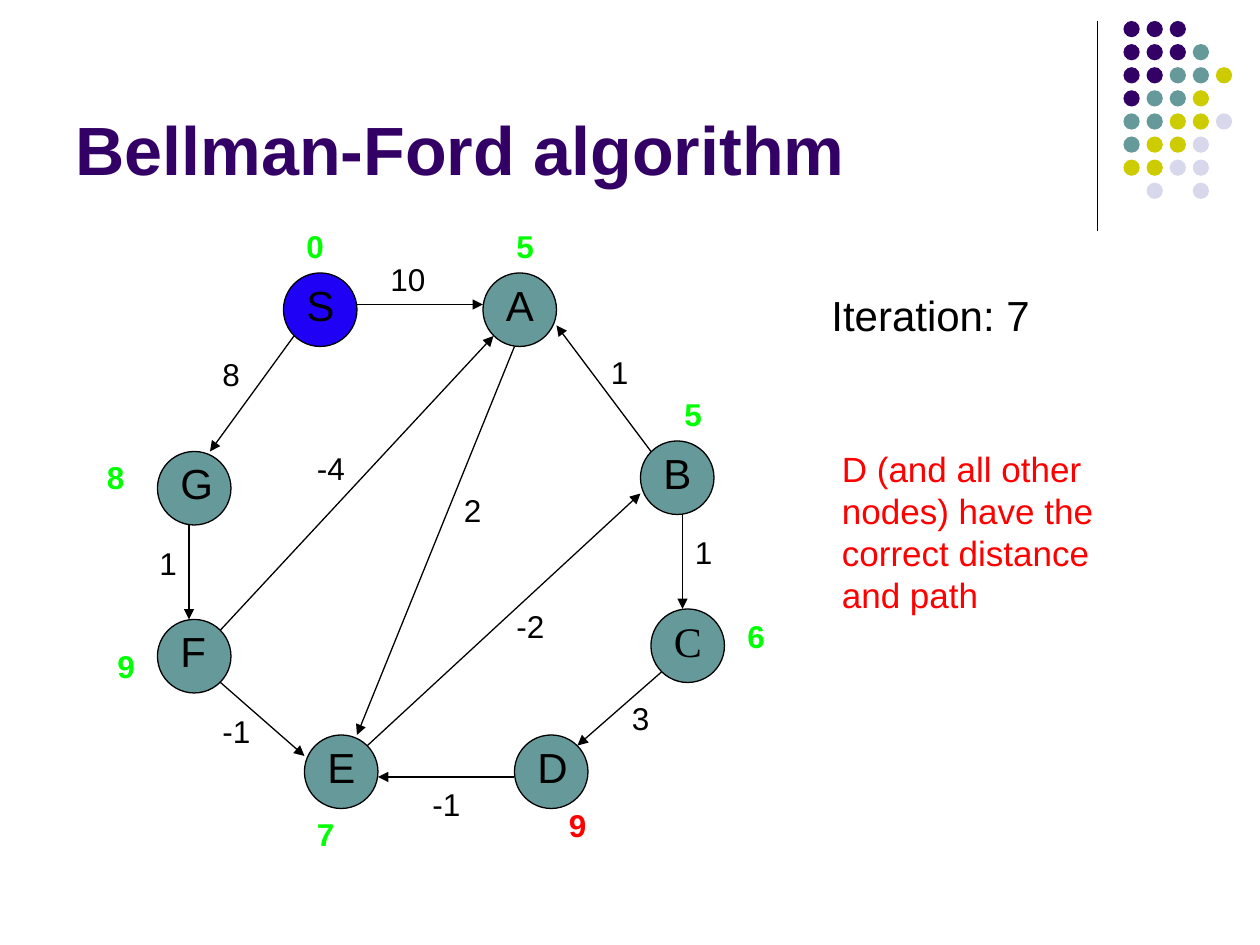
from typing import NamedTuple

from lxml import etree
from pptx import Presentation
from pptx.dml.color import RGBColor
from pptx.enum.shapes import MSO_CONNECTOR, MSO_SHAPE
from pptx.enum.text import MSO_ANCHOR
from pptx.oxml.ns import qn
from pptx.util import Pt

ELLIPSE = MSO_SHAPE.OVAL
STRAIGHT = MSO_CONNECTOR.STRAIGHT
TOP = MSO_ANCHOR.TOP
BOTTOM = MSO_ANCHOR.BOTTOM

BLACK = RGBColor(0x00, 0x00, 0x00)
PURPLE = RGBColor(0x33, 0x00, 0x66)
TEAL = RGBColor(0x66, 0x99, 0x99)
OLIVE = RGBColor(0xCC, 0xCC, 0x00)
LAVENDER = RGBColor(0xD8, 0xD8, 0xEC)
BLUE = RGBColor(0x1F, 0x02, 0xF6)
GREEN = RGBColor(0x00, 0xFF, 0x00)
RED = RGBColor(0xFF, 0x00, 0x00)

LINE_WIDTH = 0.74
NODE_SIZE = 42
DOT_SIZE = 9.3
DOT_PITCH = 13.2
DOT_LEFT, DOT_TOP = 642, 12
DOT_ROWS = ("PPP", "PPPT", "PPTTO", "PTTO", "TTOOL", "TOOL", "OOLL", " L L")
DOT_COLORS = {"P": PURPLE, "T": TEAL, "O": OLIVE, "L": LAVENDER}


class Node(NamedTuple):
    """A graph vertex, placed by the top left corner of its circle."""
    name: str
    left: float
    top: float
    fill: RGBColor = TEAL
    font: str = "Arial"


class Edge(NamedTuple):
    """An arrow from one point to another."""
    x1: float
    y1: float
    x2: float
    y2: float


class Label(NamedTuple):
    """A piece of text in its frame."""
    text: str
    left: float
    top: float
    color: RGBColor = BLACK
    bold: bool = False
    size: float = 18
    width: float = 36
    height: float = 29
    font: str = "Arial"
    anchor: MSO_ANCHOR = TOP


NODES = (
    Node("G", 90, 258), Node("S", 162, 156, BLUE),
    Node("F", 90, 354), Node("E", 174, 420),
    Node("A", 276, 156), Node("D", 294, 420),
    Node("B", 366, 252), Node("C", 372, 348, font="Times New Roman"),
)
EDGES = (
    Edge(204, 174, 276, 174),
    Edge(372, 258, 318, 186),
    Edge(390, 294, 390, 348),
    Edge(378, 384, 330, 426),
    Edge(294, 444, 216, 444),
    Edge(126, 390, 174, 432),
    Edge(108, 300, 108, 354),
    Edge(168, 192, 120, 258),
    Edge(126, 360, 282, 192),
    Edge(294, 198, 204, 420),
    Edge(210, 426, 366, 282),
)
WEIGHTS = (
    Label("10", 216, 145.2), Label("8", 120, 199.2), Label("1", 84, 307.2),
    Label("-1", 120, 403.2), Label("-1", 240, 445.2), Label("3", 354, 396),
    Label("1", 390, 301.2), Label("1", 342, 198), Label("2", 258, 277.2),
    Label("-2", 288, 343.2), Label("-4", 174, 253.2),
)
DISTANCES = (
    Label("0", 168, 126, GREEN, True), Label("5", 288, 126, GREEN, True),
    Label("5", 384, 222, GREEN, True), Label("6", 420, 349.2, GREEN, True),
    Label("9", 318, 457.2, RED, True), Label("7", 174, 462, GREEN, True),
    Label("9", 60, 366, GREEN, True), Label("8", 54, 258, GREEN, True),
)
TITLE = Label("Bellman-Ford algorithm", 36, 9.4, PURPLE, True, 39, 594, 102.2,
              anchor=BOTTOM)
REMARKS = (
    Label("Iteration: 7", 468, 162, size=24, width=168, height=36),
    Label("D (and all other nodes) have the correct distance and path",
          474, 252, RED, size=20, width=174, height=104),
)


def add_label(shapes, label: Label) -> None:
    """Add a wrapping text box with one run."""
    box = shapes.add_textbox(Pt(label.left), Pt(label.top),
                             Pt(label.width), Pt(label.height))
    frame = box.text_frame
    frame.word_wrap = True
    frame.vertical_anchor = label.anchor
    span = frame.paragraphs[0].add_run()
    span.text = label.text
    span.font.name = label.font
    span.font.size = Pt(label.size)
    span.font.bold = label.bold
    span.font.color.rgb = label.color


def add_circle(shapes, left: float, top: float, size: float,
               fill: RGBColor, outlined: bool) -> None:
    """Add a filled circle, with or without a black outline."""
    circle = shapes.add_shape(ELLIPSE, Pt(left), Pt(top), Pt(size), Pt(size))
    circle.shadow.inherit = False
    circle.fill.solid()
    circle.fill.fore_color.rgb = fill
    if outlined:
        circle.line.color.rgb = BLACK
        circle.line.width = Pt(LINE_WIDTH)
    else:
        circle.line.fill.background()


def add_line(shapes, edge: Edge, arrow: bool) -> None:
    """Add a thin black line, optionally with an arrowhead at its end."""
    line = shapes.add_connector(STRAIGHT, Pt(edge.x1), Pt(edge.y1),
                                Pt(edge.x2), Pt(edge.y2))
    line.line.color.rgb = BLACK
    line.line.width = Pt(LINE_WIDTH)
    if arrow:
        etree.SubElement(line.line._get_or_add_ln(), qn("a:tailEnd"),
                         type="triangle")
    etree.SubElement(line._element.spPr, qn("a:effectLst"))


def add_dots(shapes) -> None:
    """Add the corner grid of coloured dots as one group."""
    group = shapes.add_group_shape()
    for row, codes in enumerate(DOT_ROWS):
        for column, code in enumerate(codes):
            if code in DOT_COLORS:
                add_circle(group.shapes, DOT_LEFT + column * DOT_PITCH,
                           DOT_TOP + row * DOT_PITCH, DOT_SIZE,
                           DOT_COLORS[code], False)


def add_node(shapes, node: Node) -> None:
    """Add a vertex: a circle grouped with its name."""
    group = shapes.add_group_shape()
    add_circle(group.shapes, node.left, node.top, NODE_SIZE, node.fill, True)
    add_label(group.shapes, Label(node.name, node.left + 6, node.top, size=24,
                                  height=36, font=node.font))


def main() -> None:
    """Build the slide and save it."""
    deck = Presentation()
    deck.slide_width, deck.slide_height = Pt(720), Pt(540)
    page = deck.slides.add_slide(deck.slide_layouts[6])
    shapes = page.shapes
    add_line(shapes, Edge(627, 12, 627, 132), False)
    add_dots(shapes)
    add_label(shapes, TITLE)
    for node in NODES:
        add_node(shapes, node)
    for edge in EDGES:
        add_line(shapes, edge, True)
    for label in WEIGHTS + DISTANCES + REMARKS:
        add_label(shapes, label)
    deck.save("out.pptx")


main()
